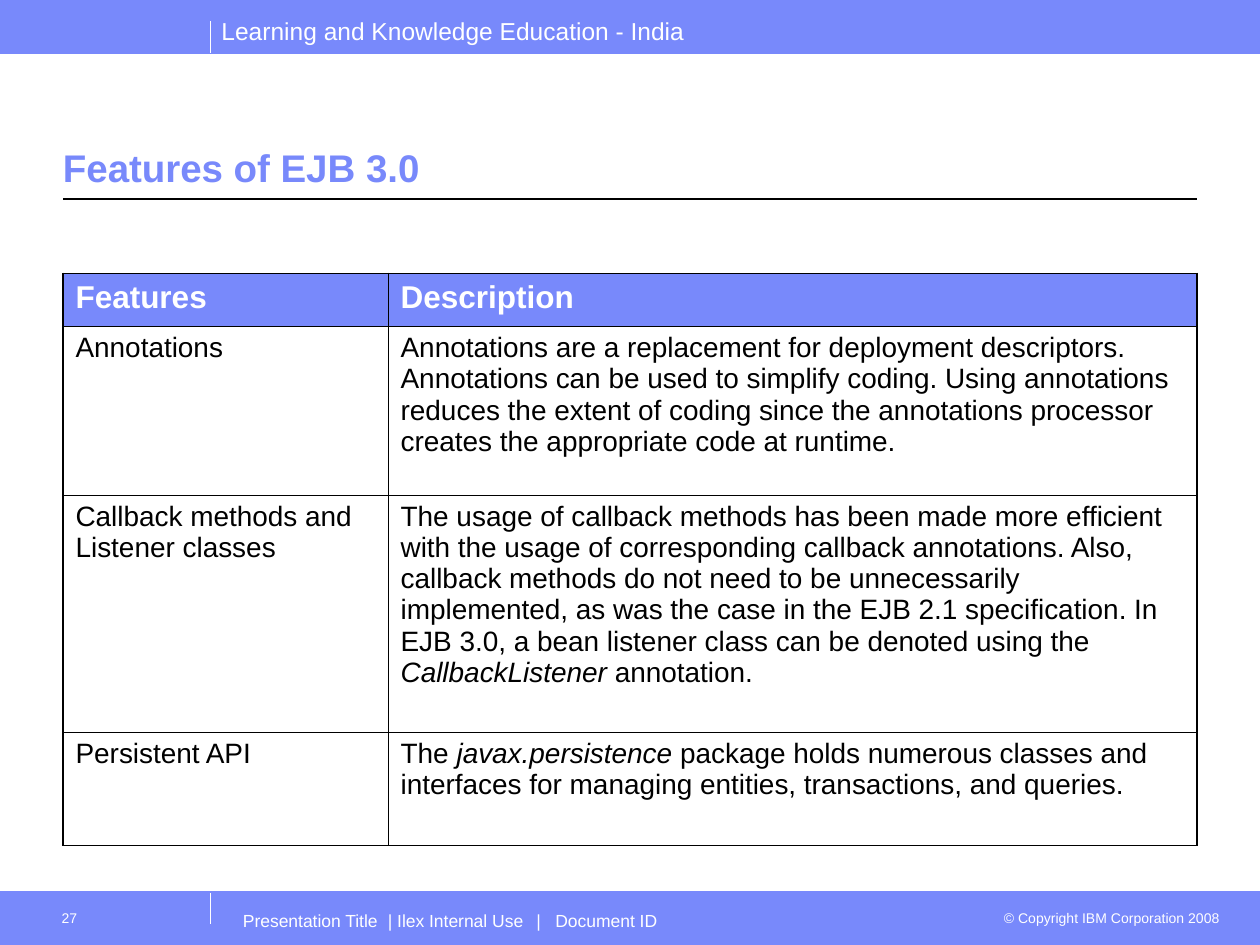
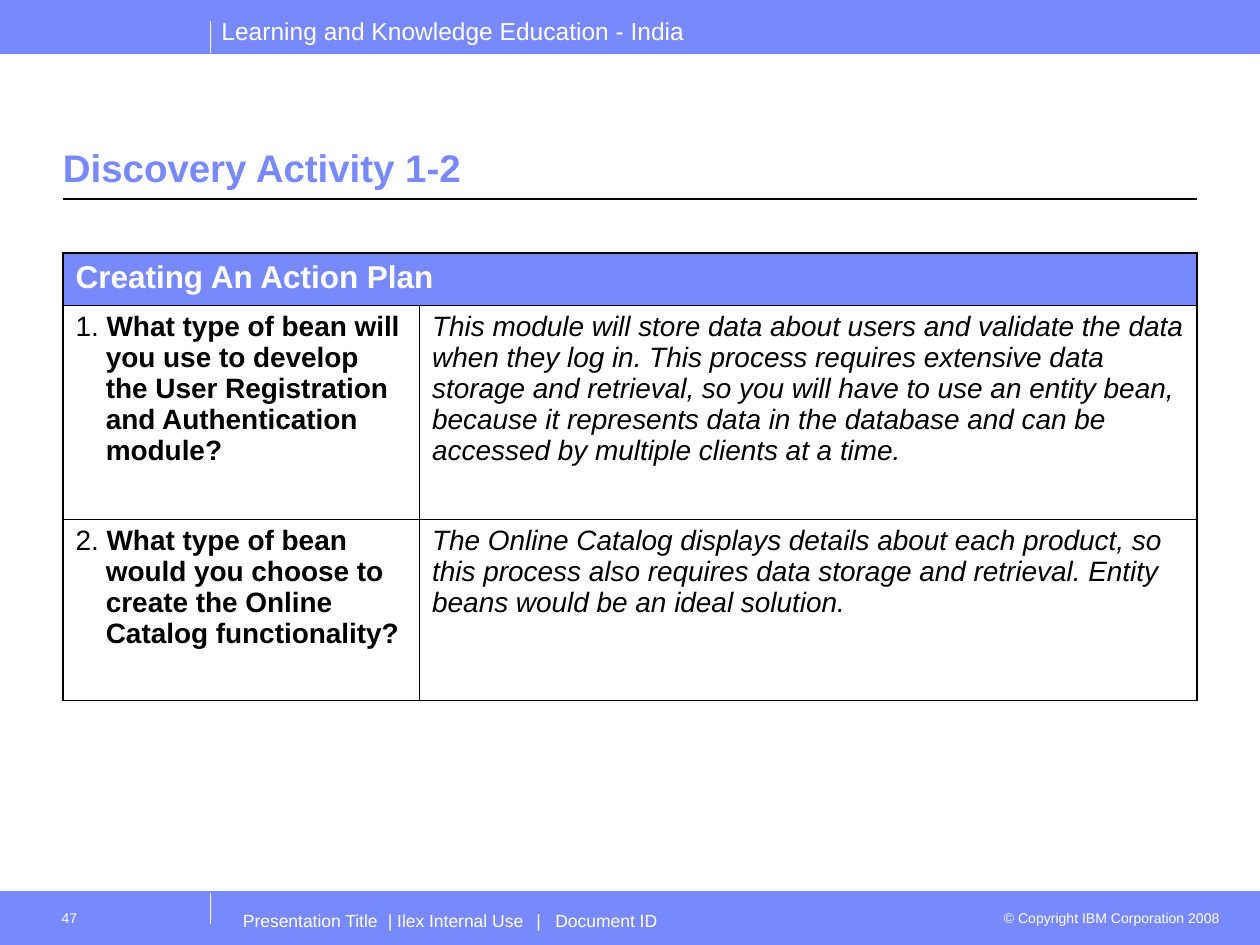
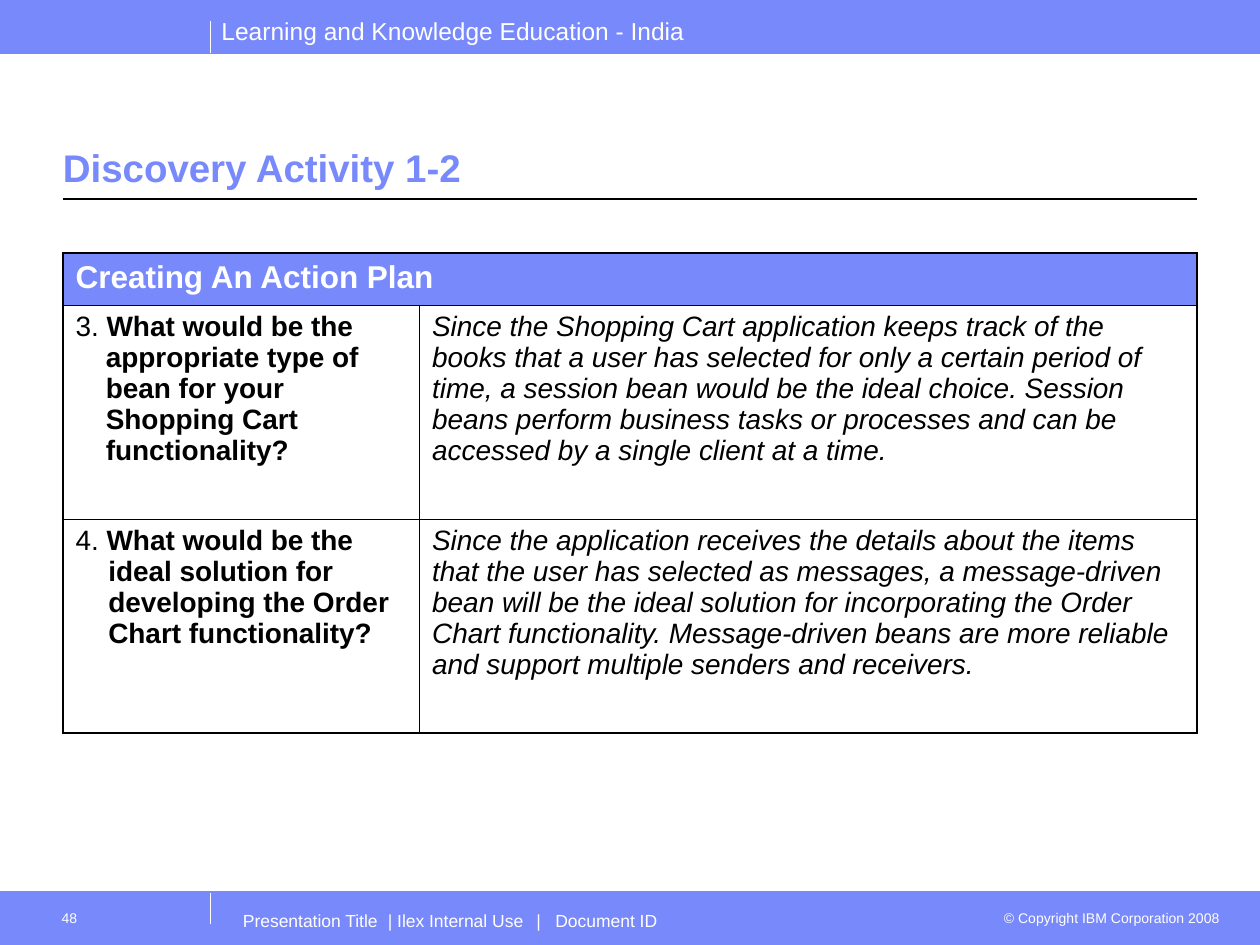
from lxml import etree
from pptx import Presentation
from pptx.dml.color import RGBColor
from pptx.enum.shapes import MSO_CONNECTOR, MSO_SHAPE
from pptx.enum.text import MSO_ANCHOR, PP_ALIGN
from pptx.oxml.ns import qn
from pptx.util import Inches, Pt

RECTANGLE = MSO_SHAPE.RECTANGLE
STRAIGHT = MSO_CONNECTOR.STRAIGHT
TOP, BOTTOM = MSO_ANCHOR.TOP, MSO_ANCHOR.BOTTOM
LEFT, RIGHT = PP_ALIGN.LEFT, PP_ALIGN.RIGHT

COLORS = {"band": "7889FB", "white": "FFFFFF", "black": "000000"}
FONT = "Arial"
OUTER_BORDER, INNER_BORDER = 1.08, 0.45

HEADER_TEXT = {"size": Pt(18), "bold": True}
BODY_TEXT = {"size": Pt(16), "bold": False}
TITLE_TEXT = {"size": Pt(22), "bold": True}
BOLD, ITALIC = {"bold": True}, {"italic": True}

BAND_TOPS = [0, 7.08]
BAND_HEIGHT = 0.42
# start x, start y, end x, end y, colour, width
RULES = [
    (1.67, 7.33, 1.67, 7.08, "white", 0.75),
    (0, 0.42, 10, 0.42, "band", 0.5),
    (0, 7.08, 10, 7.08, "band", 0.5),
    (0.5, 1.58, 9.5, 1.58, "black", 0.75),
    (1.67, 0.42, 1.67, 0.17, "white", 0.75),
]
FOOTER = "Presentation Title\t| Ilex Internal Use\t|\tDocument ID"
FOOTER_TABS = [1.15, 2.33, 2.48]

# A cell is a list of (text, format) spans
PAGES = [
    {
        "number": "27", "title": "Features of EJB 3.0", "top": 2.17,
        "columns": [2.58, 6.42], "rows": [0.42, 1.34, 1.88, 0.9],
        "header": ["Features", "Description"], "indents": [0, 0, 0],
        "body": [
            [[("Annotations", {})],
             [("Annotations are a replacement for deployment descriptors. Annotations can be used "
               "to simplify coding. Using annotations reduces the extent of coding since the "
               "annotations processor creates the appropriate code at runtime.", {})]],
            [[("Callback methods and Listener classes", {})],
             [("The usage of callback methods has been made more efficient with the usage of "
               "corresponding callback annotations. Also, callback methods do not need to be "
               "unnecessarily implemented, as was the case in the EJB 2.1 specification. In EJB "
               "3.0, a bean listener class can be denoted using the ", {}),
              ("CallbackListener", ITALIC), (" annotation.", {})]],
            [[("Persistent API", {})],
             [("The ", {}), ("javax.persistence", ITALIC),
              (" package holds numerous classes and interfaces for managing entities, "
               "transactions, and queries.", {})]],
        ],
    },
    {
        "number": "47", "title": "Discovery Activity 1-2", "top": 2.01,
        "columns": [2.83, 6.17], "rows": [0.41, 1.7, 1.44],
        "header": ["Creating An Action Plan"], "indents": [0.24, 0.24],
        "body": [
            [[("1. ", {}), ("What type of bean will you use to develop the User Registration and "
                            "Authentication module?", BOLD)],
             [("This module will store data about users and validate the data when they log in. "
               "This process requires extensive data storage and retrieval, so you will have to "
               "use an entity bean, because it represents data in the database and can be "
               "accessed by multiple clients at a time.", ITALIC)]],
            [[("2. ", {}), ("What type of bean would you choose to create the Online Catalog "
                            "functionality?", BOLD)],
             [("The Online Catalog displays details about each product, so this process also "
               "requires data storage and retrieval. Entity beans would be an ideal solution.",
               ITALIC)]],
        ],
    },
    {
        "number": "48", "title": "Discovery Activity 1-2", "top": 2.01,
        "columns": [2.83, 6.17], "rows": [0.41, 1.7, 1.7],
        "header": ["Creating An Action Plan"], "indents": [0.24, 0.26],
        "body": [
            [[("3. ", {}), ("What would be the appropriate type of bean for your Shopping Cart "
                            "functionality?", BOLD)],
             [("Since the Shopping Cart application keeps track of the books that a user has "
               "selected for only a certain period of time, a session bean would be the ideal "
               "choice. Session beans perform business tasks or processes and can be accessed by "
               "a single client at a time.", ITALIC)]],
            [[("4. ", {}), ("What would be the ideal solution for developing the Order Chart "
                            "functionality?", BOLD)],
             [("Since the application receives the details about the items that the user has "
               "selected as messages, a message-driven bean will be the ideal solution for "
               "incorporating the Order Chart functionality. Message-driven beans are more "
               "reliable and support multiple senders and receivers.", ITALIC)]],
        ],
    },
]


def add_spans(para, spans, color, base):
    """Add (text, format) spans to a paragraph, each format extending the base."""
    for text, extra in spans:
        span = para.add_run()
        span.text = text
        span.font.name = FONT
        span.font.color.rgb = RGBColor.from_string(COLORS[color])
        for name, value in {**base, **extra}.items():
            setattr(span.font, name, value)


def set_borders(cell, widths):
    properties = cell._tc.get_or_add_tcPr()
    for tag, width in widths.items():
        line = etree.SubElement(properties, qn(f"a:{tag}"), w=str(Pt(width)))
        fill = etree.SubElement(line, qn("a:solidFill"))
        etree.SubElement(fill, qn("a:srgbClr"), val=COLORS["black"])


deck = Presentation()
deck.slide_width, deck.slide_height = Inches(10), Inches(7.5)

for page in PAGES:
    slide = deck.slides.add_slide(deck.slide_layouts[6])
    shapes = slide.shapes

    for top in BAND_TOPS:
        band = shapes.add_shape(RECTANGLE, 0, Inches(top), deck.slide_width, Inches(BAND_HEIGHT))
        band.shadow.inherit = False
        band.fill.solid()
        band.fill.fore_color.rgb = RGBColor.from_string(COLORS["band"])
        band.line.color.rgb = RGBColor.from_string(COLORS["band"])
        band.line.width = Pt(0.75)

    for *ends, color, width in RULES:
        rule = shapes.add_connector(STRAIGHT, *[Inches(end) for end in ends])
        rule.line.color.rgb = RGBColor.from_string(COLORS[color])
        rule.line.width = Pt(width)
        etree.SubElement(rule._element.spPr, qn("a:effectLst"))

    # text, place, left/top/right insets, anchor, alignment, colour, format
    labels = [
        ("Learning and Knowledge Education - India", (1.66, 0.08, 4.2, 0.34),
         (0.1, 0.05, 0.1), TOP, LEFT, "white", {"size": Pt(14)}),
        ("© Copyright IBM Corporation 2008", (7.83, 7.17, 1.95, 0.24),
         (0.1, 0.05, 0.1), TOP, RIGHT, "white", {"size": Pt(8)}),
        (page["title"], (0.5, 0.64, 9, 0.92),
         (0, 0.05, 0), BOTTOM, LEFT, "band", TITLE_TEXT),
        (FOOTER, (1.83, 7.15, 6, 0.35),
         (0.1, 0.07, 0.1), TOP, LEFT, "white", {"size": Pt(10)}),
        (page["number"], (0.33, 7.15, 1.33, 0.35),
         (0.16, 0.07, 0.1), TOP, LEFT, "white", {"size": Pt(8)}),
    ]
    for text, place, insets, anchor, alignment, color, style in labels:
        box = shapes.add_textbox(*[Inches(length) for length in place])
        frame = box.text_frame
        frame.word_wrap = True
        frame.vertical_anchor = anchor
        frame.margin_left, frame.margin_top, frame.margin_right = [Inches(i) for i in insets]
        para = frame.paragraphs[0]
        para.alignment = alignment
        if text == FOOTER:
            tabs = etree.SubElement(para._p.get_or_add_pPr(), qn("a:tabLst"))
            for position in FOOTER_TABS:
                etree.SubElement(tabs, qn("a:tab"), pos=str(Inches(position)), algn="l")
        add_spans(para, [(text, {})], color, style)

    row_count, column_count = len(page["rows"]), len(page["columns"])
    table = shapes.add_table(row_count, column_count, Inches(0.5), Inches(page["top"]),
                             Inches(sum(page["columns"])), Inches(sum(page["rows"]))).table
    for column, width in zip(table.columns, page["columns"]):
        column.width = Inches(width)
    for row, height in zip(table.rows, page["rows"]):
        row.height = Inches(height)
    if len(page["header"]) < column_count:
        table.cell(0, 0).merge(table.cell(0, column_count - 1))

    header = [[(text, {})] for text in page["header"]]
    for row_index, row_cells in enumerate([header] + page["body"]):
        is_header = row_index == 0
        for column_index, spans in enumerate(row_cells):
            cell = table.cell(row_index, column_index)
            on_edge = {
                "lnL": column_index == 0,
                "lnR": column_index + cell.span_width == column_count,
                "lnT": is_header,
                "lnB": row_index == row_count - 1,
            }
            set_borders(cell, {tag: OUTER_BORDER if outer else INNER_BORDER
                               for tag, outer in on_edge.items()})
            cell.fill.solid()
            cell.fill.fore_color.rgb = RGBColor.from_string(
                COLORS["band" if is_header else "white"])
            para = cell.text_frame.paragraphs[0]
            para.space_after = Pt(11.2 if is_header else 10)
            if not is_header and column_index == 0:
                indent = Inches(page["indents"][row_index - 1])
                properties = para._p.get_or_add_pPr()
                properties.set("marL", str(indent))
                properties.set("indent", str(-indent))
            add_spans(para, spans, "white" if is_header else "black",
                      HEADER_TEXT if is_header else BODY_TEXT)

deck.save("out.pptx")
